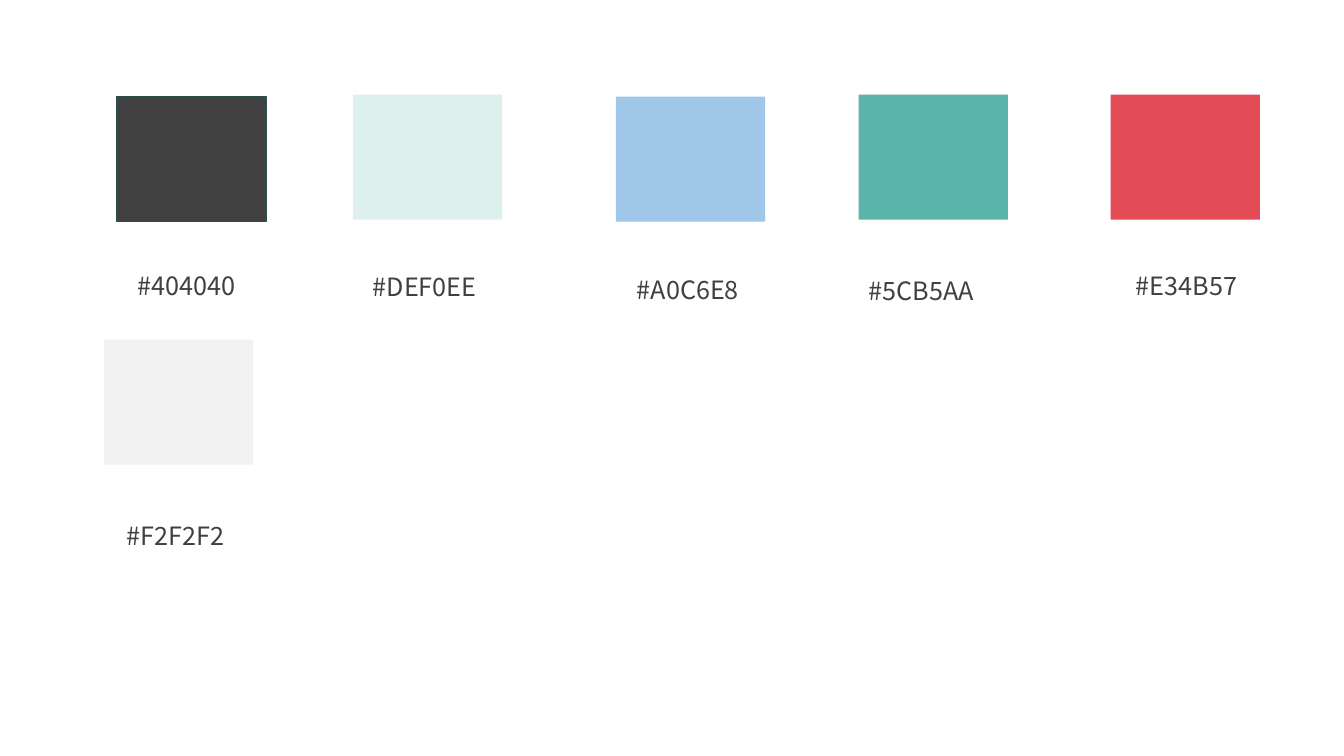
"""Build a colour palette slide of labelled swatches."""
from dataclasses import dataclass
from typing import Optional

from pptx import Presentation
from pptx.dml.color import RGBColor
from pptx.enum.shapes import MSO_SHAPE
from pptx.enum.text import MSO_AUTO_SIZE
from pptx.slide import Slide
from pptx.util import Pt

CHARCOAL = RGBColor(0x40, 0x40, 0x40)
MINT = RGBColor(0xDE, 0xF0, 0xEE)
BLUE = RGBColor(0xA0, 0xC6, 0xE8)
TEAL = RGBColor(0x5C, 0xB5, 0xAA)
RED = RGBColor(0xE3, 0x4B, 0x57)
GREY = RGBColor(0xF2, 0xF2, 0xF2)
OUTLINE = RGBColor(0x28, 0x4F, 0x4B)

FONT = "Noto Sans CJK JP"
SWATCH_W, SWATCH_H = 106.6, 89.3
LABEL_H = 28.8


@dataclass(frozen=True)
class Swatch:
    color: RGBColor
    left: float
    top: float
    label_left: float
    label_top: float
    label_width: float = 99.4
    outline: Optional[RGBColor] = None


SWATCHES = [
    Swatch(CHARCOAL, 83.5, 69.1, 91.4, 189.4, outline=OUTLINE),
    Swatch(MINT, 252, 67.7, 259.2, 190),
    Swatch(BLUE, 439.9, 69.1, 447.8, 192.2),
    Swatch(TEAL, 613.4, 67.7, 613.4, 193),
    Swatch(RED, 793.4, 67.7, 804.2, 189.4),
    Swatch(GREY, 74.2, 242.6, 83.5, 367.9, label_width=480.2),
]


def add_block(s: Slide, swatch: Swatch) -> None:
    sp = s.shapes.add_shape(MSO_SHAPE.RECTANGLE, Pt(swatch.left), Pt(swatch.top),
                            Pt(SWATCH_W), Pt(SWATCH_H))
    sp.shadow.inherit = False
    sp.fill.solid()
    sp.fill.fore_color.rgb = swatch.color
    if swatch.outline is None:
        sp.line.fill.background()
    else:
        sp.line.color.rgb = swatch.outline
        sp.line.width = Pt(1)


def add_label(s: Slide, swatch: Swatch) -> None:
    sp = s.shapes.add_textbox(Pt(swatch.label_left), Pt(swatch.label_top),
                              Pt(swatch.label_width), Pt(LABEL_H))
    tf = sp.text_frame
    tf.word_wrap = True
    tf.auto_size = MSO_AUTO_SIZE.SHAPE_TO_FIT_TEXT
    p = tf.paragraphs[0]
    p.text = f"#{swatch.color}"
    p.font.name = FONT
    p.font.size = Pt(18)
    p.font.color.rgb = CHARCOAL


def main() -> None:
    prs = Presentation()
    prs.slide_width, prs.slide_height = Pt(960), Pt(540)
    s = prs.slides.add_slide(prs.slide_layouts[6])
    for swatch in SWATCHES:
        add_block(s, swatch)
        add_label(s, swatch)
    prs.save("out.pptx")


if __name__ == "__main__":
    main()
